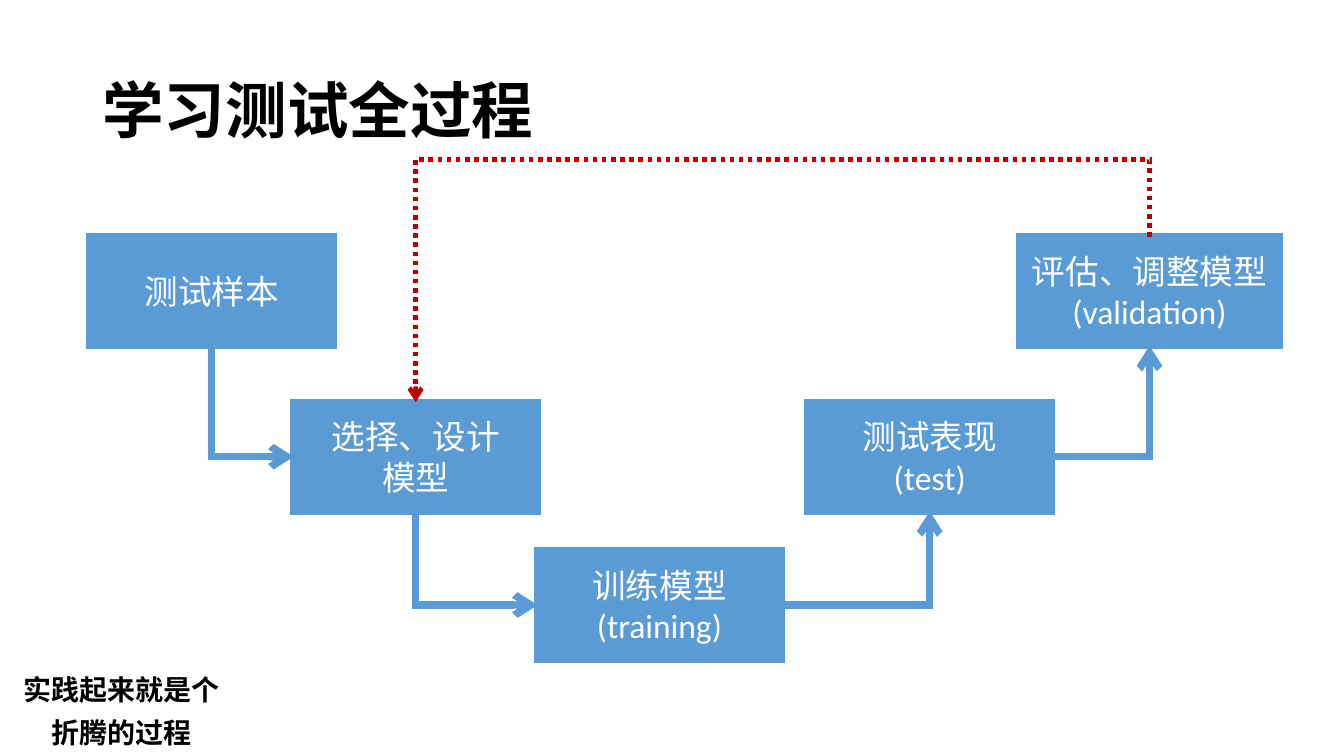
from lxml import etree
from pptx import Presentation
from pptx.dml.color import RGBColor
from pptx.enum import dml, shapes, text
from pptx.oxml import ns
from pptx.util import Pt

BLUE, RED, WHITE, BLACK = "5B9BD5", "C00000", "FFFFFF", "000000"
FONT = "Calibri"
STEP_HEIGHT = 77.8
RETURN_TOP = 113.8

TITLE = "学习测试全过程"
REMARK = ["实践起来就是个", "折腾的过程"]
# name: (left, top, width, lines)
STEPS = {
    "sample": (64.1, 169.2, 174.2, ["测试样本"]),
    "design": (209.8, 287.3, 174.2, ["选择、设计", "模型"]),
    "training": (384, 393.3, 174.2, ["训练模型", "(training)"]),
    "test": (577, 287.3, 174.2, ["测试表现", "(test)"]),
    "validation": (728.2, 169.2, 185.8, ["评估、调整模型", "(validation)"]),
}
DOWNWARD = [("sample", "design"), ("design", "training")]
UPWARD = [("training", "test"), ("test", "validation")]


def color(hex_code):
    return RGBColor.from_string(hex_code)


def write(frame, lines, size, ink, bold=False, align=text.PP_ALIGN.CENTER,
          spacing=1.0, anchor=text.MSO_ANCHOR.MIDDLE, wrap=True):
    frame.word_wrap = wrap
    frame.vertical_anchor = anchor
    for index, line in enumerate(lines):
        paragraph = frame.add_paragraph() if index else frame.paragraphs[0]
        paragraph.alignment = align
        paragraph.line_spacing = spacing
        run = paragraph.add_run()
        run.text = line
        run.font.name = FONT
        run.font.size = Pt(size)
        run.font.bold = bold
        run.font.color.rgb = color(ink)


def outline(shape, ink, width, dash=None, arrow=False):
    shape.shadow.inherit = False
    shape.line.color.rgb = color(ink)
    shape.line.width = Pt(width)
    if dash:
        shape.line.dash_style = dash
    line = shape.element.spPr.find(ns.qn("a:ln"))
    etree.SubElement(line, ns.qn("a:miter"), lim="800000")
    if arrow:
        etree.SubElement(line, ns.qn("a:tailEnd"), type="arrow")


def add_step(slide, left, top, width, lines):
    step = slide.shapes.add_shape(shapes.MSO_SHAPE.RECTANGLE, Pt(left), Pt(top),
                                  Pt(width), Pt(STEP_HEIGHT))
    step.fill.solid()
    step.fill.fore_color.rgb = color(BLUE)
    outline(step, BLUE, 5.25)
    write(step.text_frame, lines, 24, WHITE)


def add_route(slide, points, ink, width, dash=None):
    """Draw an open angular line with an arrowhead at its last point."""
    start, *rest = [(Pt(x), Pt(y)) for x, y in points]
    builder = slide.shapes.build_freeform(*start)
    builder.add_line_segments(rest, close=False)
    route = builder.convert_to_shape()
    route.fill.background()
    outline(route, ink, width, dash, arrow=True)


def side(name, where):
    """Return the middle of one side of a step."""
    left, top, width, _ = STEPS[name]
    return {
        "top": (left + width / 2, top),
        "bottom": (left + width / 2, top + STEP_HEIGHT),
        "left": (left, top + STEP_HEIGHT / 2),
        "right": (left + width, top + STEP_HEIGHT / 2),
    }[where]


def main():
    deck = Presentation()
    deck.slide_width, deck.slide_height = Pt(960), Pt(540)
    slide = deck.slides.add_slide(deck.slide_layouts[6])

    title = slide.shapes.add_textbox(Pt(66), Pt(28.8), Pt(828), Pt(104.4))
    write(title.text_frame, [TITLE], 44, BLACK, bold=True,
          align=text.PP_ALIGN.LEFT, spacing=0.9)
    remark = slide.shapes.add_textbox(Pt(9.4), Pt(469.4), Pt(154.8), Pt(69.8))
    write(remark.text_frame, REMARK, 20, BLACK, bold=True, spacing=1.3,
          anchor=text.MSO_ANCHOR.TOP, wrap=False)
    remark.text_frame.auto_size = text.MSO_AUTO_SIZE.SHAPE_TO_FIT_TEXT

    for step in STEPS.values():
        add_step(slide, *step)

    for source, target in DOWNWARD:
        start, end = side(source, "bottom"), side(target, "left")
        add_route(slide, [start, (start[0], end[1]), end], BLUE, 5.25)
    for source, target in UPWARD:
        start, end = side(source, "right"), side(target, "bottom")
        add_route(slide, [start, (end[0], start[1]), end], BLUE, 5.25)

    start, end = side("validation", "top"), side("design", "top")
    add_route(slide, [start, (start[0], RETURN_TOP), (end[0], RETURN_TOP), end],
              RED, 3.25, dml.MSO_LINE.ROUND_DOT)

    deck.save("out.pptx")


if __name__ == "__main__":
    main()
